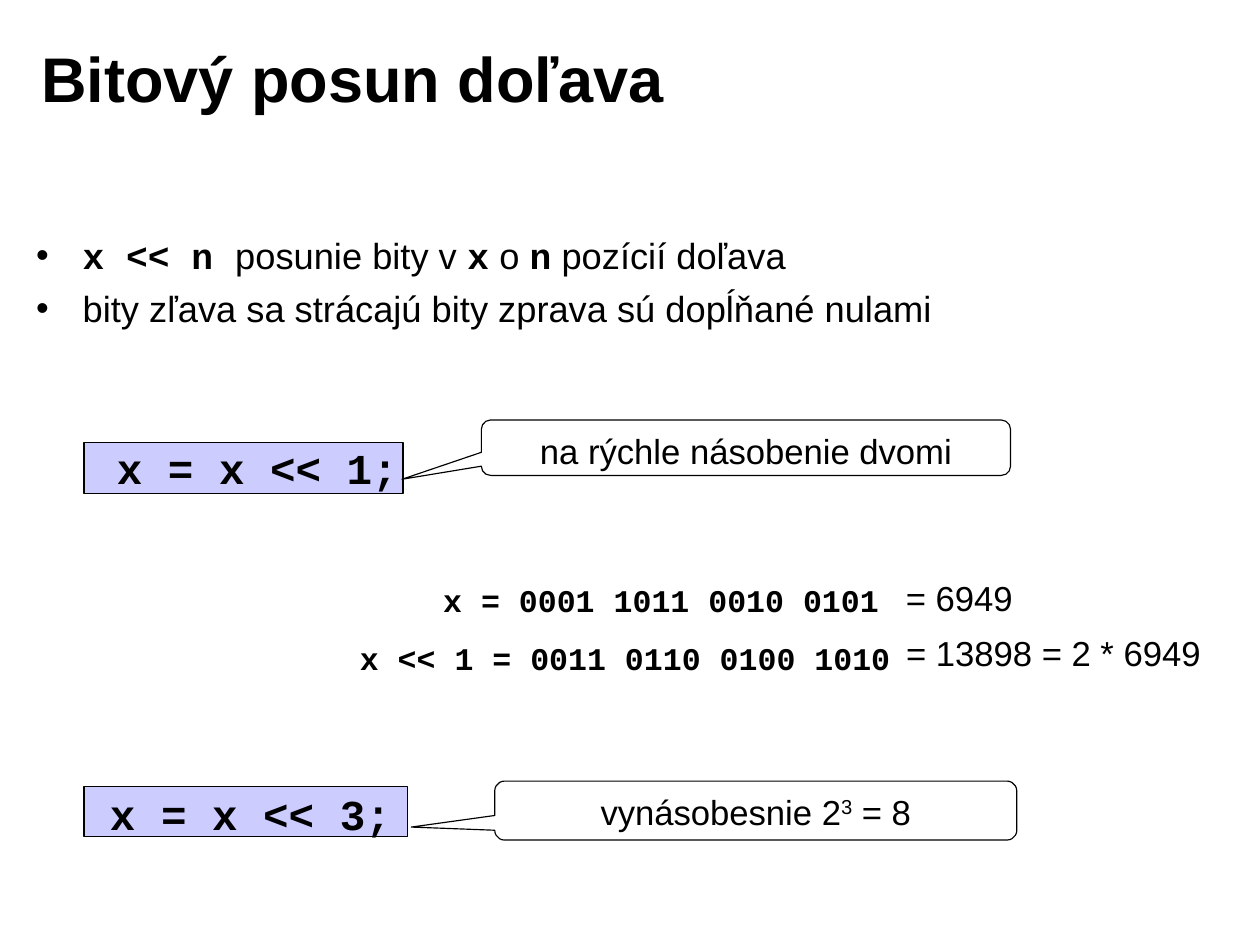
from dataclasses import dataclass

from lxml import etree
from pptx import Presentation
from pptx.dml.color import RGBColor
from pptx.enum.shapes import MSO_SHAPE
from pptx.enum.text import MSO_ANCHOR, MSO_AUTO_SIZE, PP_ALIGN
from pptx.oxml.ns import qn
from pptx.util import Cm, Pt

RECTANGLE = MSO_SHAPE.RECTANGLE
CALLOUT = MSO_SHAPE.ROUNDED_RECTANGULAR_CALLOUT
TOP, MIDDLE = MSO_ANCHOR.TOP, MSO_ANCHOR.MIDDLE
LEFT, CENTER = PP_ALIGN.LEFT, PP_ALIGN.CENTER
NO_AUTOFIT = MSO_AUTO_SIZE.NONE
TITLE_ONLY = 5


@dataclass(frozen=True)
class Theme:
    ink: RGBColor = RGBColor(0, 0, 0)
    paper: RGBColor = RGBColor(255, 255, 255)
    code_fill: RGBColor = RGBColor(0xCC, 0xCC, 0xFF)
    sans: str = "Arial"
    mono: str = "Courier New"
    title: float = 40
    code: float = 27
    body: float = 23
    note: float = 22
    bits: float = 20
    outline: float = 0.75
    bullet_gap: float = 5.8


THEME = Theme()


def add_text(paragraph, text, size, font=THEME.sans, bold=False, superscript=False):
    run = paragraph.add_run()
    run.text = text
    run.font.name = font
    run.font.size = Pt(size)
    run.font.bold = bold
    run.font.color.rgb = THEME.ink
    if superscript:
        run.font._element.set("baseline", "30000")


def prepare_frame(shape, anchor=TOP, align=CENTER, wrap=True):
    """Set margins and placement, and return the first paragraph."""
    frame = shape.text_frame
    frame.auto_size = NO_AUTOFIT
    frame.word_wrap = wrap
    frame.vertical_anchor = anchor
    frame.margin_left = frame.margin_right = Cm(0.28)
    frame.margin_top = frame.margin_bottom = Cm(0.15)
    frame.paragraphs[0].alignment = align
    return frame.paragraphs[0]


def add_bullet(paragraph):
    properties = paragraph._p.get_or_add_pPr()
    properties.set("marL", str(Cm(1.04)))
    properties.set("indent", str(-Cm(1.04)))
    etree.SubElement(properties, qn("a:buFont"), typeface=THEME.sans)
    etree.SubElement(properties, qn("a:buChar"), char="•")


class SlideBuilder:
    def __init__(self, presentation, theme):
        self.theme = theme
        self.slide = presentation.slides.add_slide(presentation.slide_layouts[TITLE_ONLY])

    def title(self, text, left, top, width, height):
        heading = self.slide.shapes.title
        heading.left, heading.top = Cm(left), Cm(top)
        heading.width, heading.height = Cm(width), Cm(height)
        paragraph = prepare_frame(heading, anchor=MIDDLE, align=LEFT)
        add_text(paragraph, text, self.theme.title, bold=True)

    def text_box(self, left, top, width, height, **placement):
        box = self.slide.shapes.add_textbox(Cm(left), Cm(top), Cm(width), Cm(height))
        return prepare_frame(box, **placement), box.text_frame

    def bullets(self, items, left, top, width, height):
        """Each item is a list of (text, is_code) parts."""
        paragraph, frame = self.text_box(left, top, width, height, align=LEFT)
        for index, parts in enumerate(items):
            if index:
                paragraph = frame.add_paragraph()
                paragraph.space_before = Pt(self.theme.bullet_gap)
            add_bullet(paragraph)
            for text, is_code in parts:
                font = self.theme.mono if is_code else self.theme.sans
                add_text(paragraph, text, self.theme.body, font=font, bold=is_code)

    def panel(self, kind, fill, left, top, width, height):
        panel = self.slide.shapes.add_shape(kind, Cm(left), Cm(top), Cm(width), Cm(height))
        panel.shadow.inherit = False
        panel.fill.solid()
        panel.fill.fore_color.rgb = fill
        panel.line.color.rgb = self.theme.ink
        panel.line.width = Pt(self.theme.outline)
        return panel

    def code(self, text, size, left, top, width, height):
        paragraph, _ = self.text_box(left, top, width, height)
        add_text(paragraph, text, size, font=self.theme.mono, bold=True)

    def value(self, text, left, top, width, height):
        paragraph, _ = self.text_box(left, top, width, height, wrap=False)
        add_text(paragraph, text, self.theme.note)

    def callout(self, parts, tip, left, top, width, height):
        """Each part is (text, is_superscript); tip is relative to the centre."""
        bubble = self.panel(CALLOUT, self.theme.paper, left, top, width, height)
        for index, share in enumerate(tip):
            bubble.adjustments[index] = share
        paragraph = prepare_frame(bubble)
        for text, raised in parts:
            add_text(paragraph, text, self.theme.note, superscript=raised)


def main():
    presentation = Presentation()
    presentation.slide_width, presentation.slide_height = Cm(28.19), Cm(21.08)
    page = SlideBuilder(presentation, THEME)

    page.title("Bitový posun doľava", 0.64, 0.43, 22.66, 2.59)
    page.bullets(
        [
            [("x << n ", True), ("posunie bity v ", False), ("x", True),
             (" o ", False), ("n", True), (" pozícií doľava", False)],
            [("bity zľava sa strácajú bity zprava sú dopĺňané nulami", False)],
        ],
        0.53, 5.08, 27.08, 4.01,
    )

    statements = [
        ("x = x << 1;", (1.88, 9.91, 7.14, 1.14), (2.18, 9.75, 7.16, 1.42)),
        ("x = x << 3;", (1.88, 17.6, 7.24, 1.12), (2.06, 17.48, 7.09, 1.4)),
    ]
    for statement, panel_area, text_area in statements:
        page.panel(RECTANGLE, THEME.code_fill, *panel_area)
        page.code(statement, THEME.code, *text_area)

    page.code("x = 0001 1011 0010 0101", THEME.bits, 9.6, 12.85, 10.39, 1.12)
    page.code("x << 1 = 0011 0110 0100 1010", THEME.bits, 7.54, 14.15, 12.9, 1.12)
    page.value("= 6949", 19.99, 12.75, 2.95, 1.22)
    page.value("= 13898 = 2 * 6949", 19.99, 14, 7.16, 1.22)

    page.callout([("na rýchle násobenie dvomi", False)], (-0.65, 0.57),
                 10.77, 9.4, 11.84, 1.24)
    page.callout([("vynásobesnie 2", False), ("3", True), (" = 8", False)], (-0.66, 0.28),
                 11.07, 17.48, 11.68, 1.32)

    presentation.save("out.pptx")


if __name__ == "__main__":
    main()
